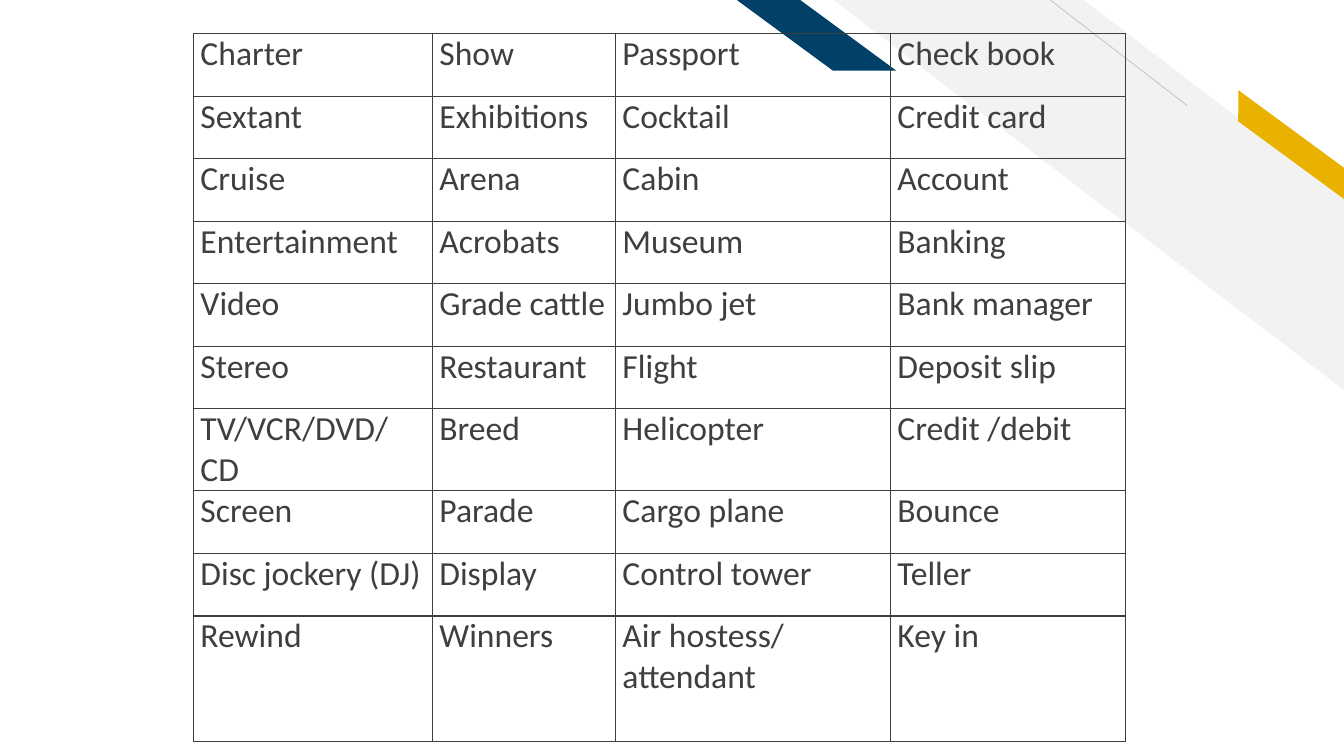
from dataclasses import dataclass

from lxml.etree import SubElement
from pptx import Presentation
from pptx.dml.color import RGBColor
from pptx.enum.shapes import MSO_CONNECTOR as Connector, MSO_SHAPE as Preset
from pptx.oxml.ns import qn
from pptx.slide import Slide
from pptx.table import _Cell as Cell
from pptx.util import Pt

INK = "3F3F3F"
TABLE_LEFT, TABLE_TOP = 138.2, 24
COLUMN_WIDTHS = (170.7, 130.8, 196.4, 167.9)
ROW_HEIGHT = 44.7
CELL_MARGINS = {"margin_left": Pt(5), "margin_right": Pt(5),
                "margin_top": Pt(0), "margin_bottom": Pt(0)}
CELL_FONT = {"name": "Calibri", "size": Pt(24)}
TABLE_FLAGS = {"first_row": False, "horz_banding": False}

VOCABULARY = (
    ("Charter", "Show", "Passport", "Check book"),
    ("Sextant", "Exhibitions", "Cocktail", "Credit card"),
    ("Cruise", "Arena", "Cabin", "Account"),
    ("Entertainment", "Acrobats", "Museum", "Banking"),
    ("Video", "Grade cattle", "Jumbo jet", "Bank manager"),
    ("Stereo", "Restaurant", "Flight", "Deposit slip"),
    ("TV/VCR/DVD/CD", "Breed", "Helicopter", "Credit /debit"),
    ("Screen", "Parade", "Cargo plane", "Bounce"),
    ("Disc jockery (DJ)", "Display", "Control tower", "Teller"),
    ("Rewind", "Winners", "Air hostess/\nattendant", "Key in"),
)


@dataclass(frozen=True)
class Stripe:
    preset: Preset
    left: float
    top: float
    width: float
    height: float
    slant: float
    color: str
    rotation: float = 0


GREY_STRIPE = Stripe(Preset.DIAGONAL_STRIPE, 595.4, 0, 364.6, 278.6, 0.51, "F2F2F2")
YELLOW_STRIPE = Stripe(Preset.PARALLELOGRAM, 869, 94.3, 106.6, 18, 0.72, "EAB200", 36.3)
BLUE_STRIPE = Stripe(Preset.PARALLELOGRAM, 526.3, 0, 113.8, 50.4, 1.36, "014067")


def color_of(target, color: str) -> None:
    """Give a fill, line fill or font colour format a hex colour."""
    target.rgb = RGBColor.from_string(color)


def apply_format(target, values: dict) -> None:
    for name, value in values.items():
        setattr(target, name, value)


def add_stripe(page: Slide, stripe: Stripe) -> None:
    """Draw a stripe mirrored left to right."""
    frame = map(Pt, (stripe.left, stripe.top, stripe.width, stripe.height))
    shape = page.shapes.add_shape(stripe.preset, *frame)
    shape.adjustments[0] = stripe.slant
    shape.rotation = stripe.rotation
    shape.shadow.inherit = False
    shape.fill.solid()
    color_of(shape.fill.fore_color, stripe.color)
    shape.line.fill.background()
    shape._element.spPr.find(qn("a:xfrm")).set("flipH", "1")


def add_hairline(page: Slide) -> None:
    ends = map(Pt, (848.2, 75.6, 750.2, 0))
    line = page.shapes.add_connector(Connector.STRAIGHT, *ends)
    line.line.width = Pt(0.5)
    color_of(line.line.color, "BFBFBF")
    SubElement(line._element.spPr, qn("a:effectLst"))


def add_borders(cell: Cell) -> None:
    properties = cell._tc.get_or_add_tcPr()
    for index, side in enumerate(("lnL", "lnR", "lnT", "lnB")):
        border = SubElement(properties, qn(f"a:{side}"), w=str(Pt(1)))
        fill = SubElement(border, qn("a:solidFill"))
        SubElement(fill, qn("a:srgbClr"), val=INK)
        properties.insert(index, border)


def fill_cell(cell: Cell, text: str) -> None:
    cell.text = text
    apply_format(cell, CELL_MARGINS)
    cell.fill.background()
    for para in cell.text_frame.paragraphs:
        for span in para.runs:
            apply_format(span.font, CELL_FONT)
            color_of(span.font.color, INK)
    add_borders(cell)


def add_vocabulary(page: Slide) -> None:
    row_heights = [ROW_HEIGHT] * (len(VOCABULARY) - 1) + [2 * ROW_HEIGHT]
    frame = map(Pt, (TABLE_LEFT, TABLE_TOP, sum(COLUMN_WIDTHS), sum(row_heights)))
    table = page.shapes.add_table(len(VOCABULARY), len(COLUMN_WIDTHS), *frame).table
    apply_format(table, TABLE_FLAGS)
    for column, width in zip(table.columns, COLUMN_WIDTHS):
        column.width = Pt(width)
    for row, height, words in zip(table.rows, row_heights, VOCABULARY):
        row.height = Pt(height)
        for cell, word in zip(row.cells, words):
            fill_cell(cell, word)


def main() -> None:
    deck = Presentation()
    apply_format(deck, {"slide_width": Pt(960), "slide_height": Pt(540)})
    page = deck.slides.add_slide(deck.slide_layouts.get_by_name("Blank"))
    add_stripe(page, GREY_STRIPE)
    add_hairline(page)
    add_stripe(page, YELLOW_STRIPE)
    add_stripe(page, BLUE_STRIPE)
    add_vocabulary(page)
    deck.save("out.pptx")


if __name__ == "__main__":
    main()
